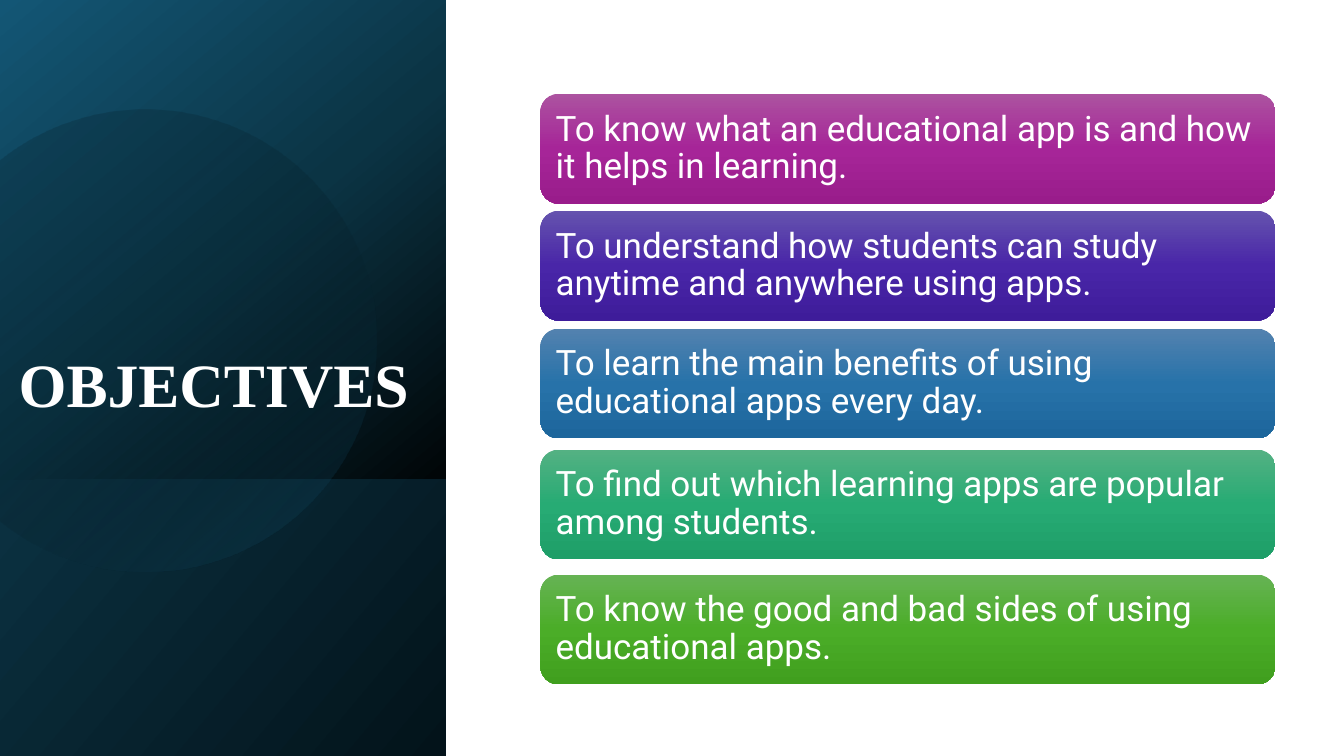
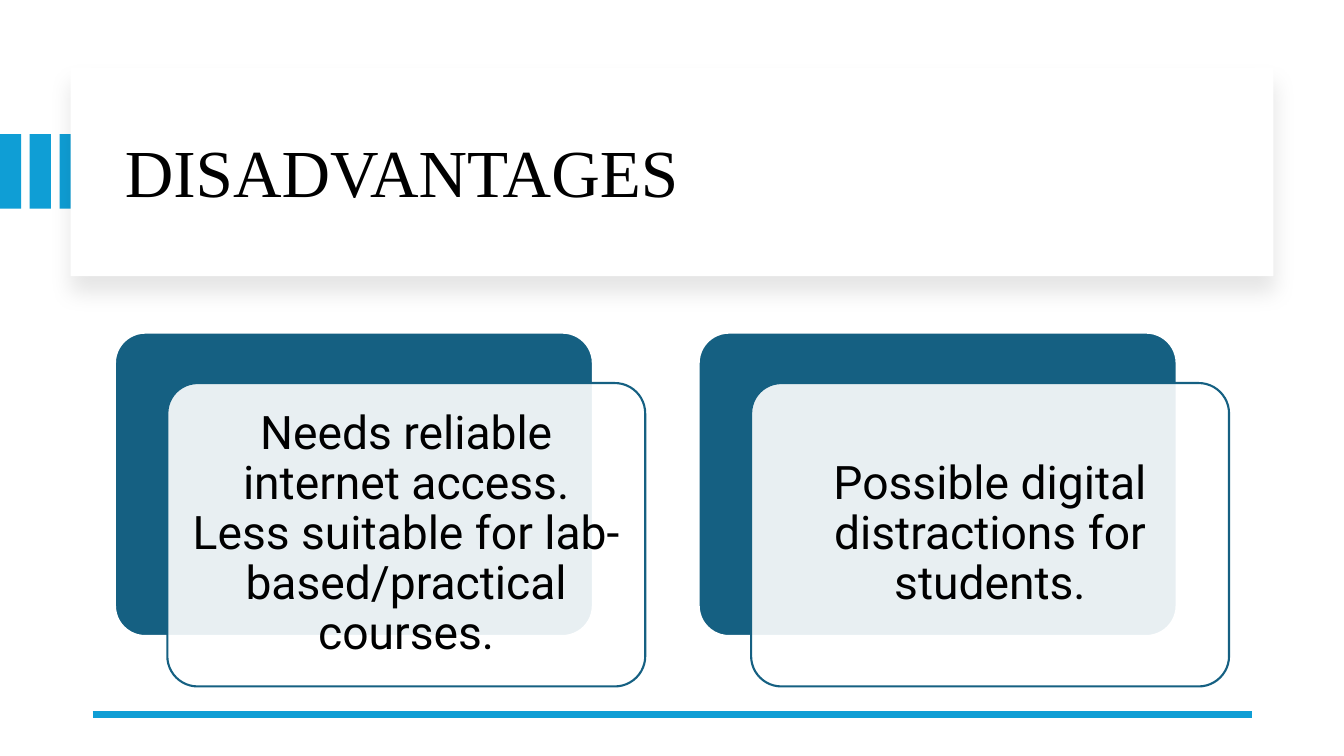
from math import asin, cos, pi, sin

from lxml.etree import SubElement
from pptx import Presentation
from pptx.dml.color import RGBColor
from pptx.enum.shapes import MSO_CONNECTOR, MSO_SHAPE as Shape
from pptx.enum.text import MSO_ANCHOR as Anchor, PP_ALIGN as Align
from pptx.oxml.ns import qn
from pptx.util import Inches, Pt

SLIDE_WIDTH, SLIDE_HEIGHT = 13.33, 7.5
TITLE_FONT, BODY_FONT = "Times New Roman", "Roboto"
WHITE, BLACK, TEAL, SKY = "FFFFFF", "000000", "156082", "0F9ED5"

# Gradient stops: position in percent, colour, opacity in percent
PANEL_WIDTH, BAND_TOP = 4.42, 4.76
PANEL_STOPS = [(0, "135675", 100), (40, "0B3444", 100), (75, "010608", 100), (100, BLACK, 100)]
BAND_STOPS = [(0, "0B3242", 100), (100, "03131A", 100)]
DISC_STOPS = [(0, BLACK, 15), (40, BLACK, 10), (100, TEAL, 30)]
DISC_CENTRE, DISC_RADIUS = (1.44, 3.38), 2.29

# Top edge, text, gradient from top to bottom
OBJECTIVES = [
    (0.93, "To know what an educational app is and how it helps in learning.",
     ("AC53A0", "A62598", "991C8B")),
    (2.09, "To understand how students can study anytime and anywhere using apps.",
     ("6553AE", "4926A8", "3E1C9A")),
    (3.26, "To learn the main benefits of using educational apps every day.",
     ("5382AF", "2772A9", "1D669C")),
    (4.46, "To find out which learning apps are popular among students.",
     ("54B183", "27AB74", "1E9E68")),
    (5.7, "To know the good and bad sides of using educational apps.",
     ("66B354", "4BAD28", "409F1E")),
]
DISADVANTAGES = [
    "Needs reliable internet access. Less suitable for lab-based/practical courses.",
    "Possible digital distractions for students.",
]


def rgb(colour):
    return RGBColor.from_string(colour)


def add_colour(parent, colour, opacity):
    node = SubElement(parent, qn("a:srgbClr"), val=colour)
    if opacity < 100:
        SubElement(node, qn("a:alpha"), val=str(opacity * 1000))


def set_fill(shape, colour, opacity=100):
    shape.fill.solid()
    shape.fill.fore_color.rgb = rgb(colour)
    if opacity < 100:
        node = shape.fill._xPr.find(qn("a:solidFill")).find(qn("a:srgbClr"))
        SubElement(node, qn("a:alpha"), val=str(opacity * 1000))


def set_gradient(shape, stops, angle):
    """Fill with a linear gradient; the angle runs clockwise from left to right."""
    shape.fill.gradient()
    gradient = shape.fill._xPr.find(qn("a:gradFill"))
    for child in list(gradient):
        gradient.remove(child)
    stop_list = SubElement(gradient, qn("a:gsLst"))
    for position, colour, opacity in stops:
        stop = SubElement(stop_list, qn("a:gs"), pos=str(position * 1000))
        add_colour(stop, colour, opacity)
    SubElement(gradient, qn("a:lin"), ang=str(angle * 60000), scaled="0")


def add_box(page, kind, left, top, width, height, line=None):
    box = page.shapes.add_shape(kind, Inches(left), Inches(top), Inches(width), Inches(height))
    box.shadow.inherit = False
    if line:
        box.line.color.rgb = rgb(line)
        box.line.width = Pt(1.5)
    else:
        box.line.fill.background()
    return box


def write(shape, text, size, colour, font=BODY_FONT, align=Align.LEFT,
          anchor=Anchor.MIDDLE, margin=0.1, bold=False):
    frame = shape.text_frame
    frame.word_wrap = True
    frame.vertical_anchor = anchor
    frame.margin_left = frame.margin_right = Inches(margin)
    frame.margin_top = frame.margin_bottom = Inches(margin)
    para = frame.paragraphs[0]
    para.alignment = align
    para.line_spacing = 0.9
    span = para.add_run()
    span.text = text
    span.font.name = font
    span.font.size = Pt(size)
    span.font.bold = bold
    span.font.color.rgb = rgb(colour)


def add_title(page, text, left, top, width, height, size, colour, **style):
    box = page.shapes.add_textbox(Inches(left), Inches(top), Inches(width), Inches(height))
    write(box, text, size, colour, font=TITLE_FONT, **style)


def add_disc(page):
    """Draw the circle that the left slide edge cuts off."""
    centre_x, centre_y = DISC_CENTRE
    reach = pi / 2 + asin(centre_x / DISC_RADIUS)
    steps = 90
    angles = [reach * (2 * step / steps - 1) for step in range(steps + 1)]
    points = [(Inches(max(0, centre_x + DISC_RADIUS * cos(angle))),
               Inches(centre_y + DISC_RADIUS * sin(angle))) for angle in angles]
    builder = page.shapes.build_freeform(*points[0])
    builder.add_line_segments(points[1:], close=True)
    disc = builder.convert_to_shape()
    disc.shadow.inherit = False
    disc.line.fill.background()
    set_gradient(disc, DISC_STOPS, 50)


def add_drop_shadow(shape):
    effects = shape._element.spPr.find(qn("a:effectLst"))
    shadow = SubElement(effects, qn("a:outerShdw"), blurRad=str(Pt(15)), dist=str(Pt(11)),
                        dir=str(90 * 60000), algn="t", rotWithShape="0")
    add_colour(shadow, BLACK, 10)


def build_objectives(page):
    panel = add_box(page, Shape.RECTANGLE, 0, 0, PANEL_WIDTH, SLIDE_HEIGHT)
    set_gradient(panel, PANEL_STOPS, 50)
    band = add_box(page, Shape.RECTANGLE, 0, BAND_TOP, PANEL_WIDTH, SLIDE_HEIGHT - BAND_TOP)
    set_gradient(band, BAND_STOPS, 40)
    add_disc(page)
    add_title(page, "OBJECTIVES", 0, 2.74, 4.14, 1.51, 44, WHITE,
              align=Align.RIGHT, anchor=Anchor.BOTTOM, margin=0.08, bold=True)
    for top, text, colours in OBJECTIVES:
        card = add_box(page, Shape.ROUNDED_RECTANGLE, 5.36, top, 7.29, 1.09)
        set_gradient(card, [(50 * i, colour, 100) for i, colour in enumerate(colours)], 90)
        write(card, text, 25, WHITE)


def build_disadvantages(page):
    for index in range(3):
        set_fill(add_box(page, Shape.RECTANGLE, 0.295 * index, 1.33, 0.21, 0.74), SKY)
    header = add_box(page, Shape.RECTANGLE, 0.7, 0.67, 11.93, 2.07)
    set_fill(header, WHITE)
    add_drop_shadow(header)
    add_title(page, "DISADVANTAGES", 1.14, 0.89, 11.13, 1.7, 48, BLACK)

    rule = page.shapes.add_connector(MSO_CONNECTOR.STRAIGHT, Inches(0.92), Inches(7.09),
                                     Inches(12.42), Inches(7.09))
    rule.line.color.rgb = rgb(SKY)
    rule.line.width = Pt(4.5)
    SubElement(rule._element.spPr, qn("a:effectLst"))

    for index, text in enumerate(DISADVANTAGES):
        left = 1.14 + 5.79 * index
        layers = [(left, 3.3, TEAL, 100, WHITE), (left + 0.52, 3.8, WHITE, 90, TEAL)]
        for x, y, fill, opacity, line in layers:
            card = add_box(page, Shape.ROUNDED_RECTANGLE, x, y, 4.74, 3.01, line)
            card.adjustments[0] = 0.1
            set_fill(card, fill, opacity)
        write(card, text, 33, BLACK, align=Align.CENTER, margin=0.14)


def main():
    deck = Presentation()
    deck.slide_width, deck.slide_height = Inches(SLIDE_WIDTH), Inches(SLIDE_HEIGHT)
    for build in (build_objectives, build_disadvantages):
        build(deck.slides.add_slide(deck.slide_layouts[6]))
    deck.save("out.pptx")


if __name__ == "__main__":
    main()
